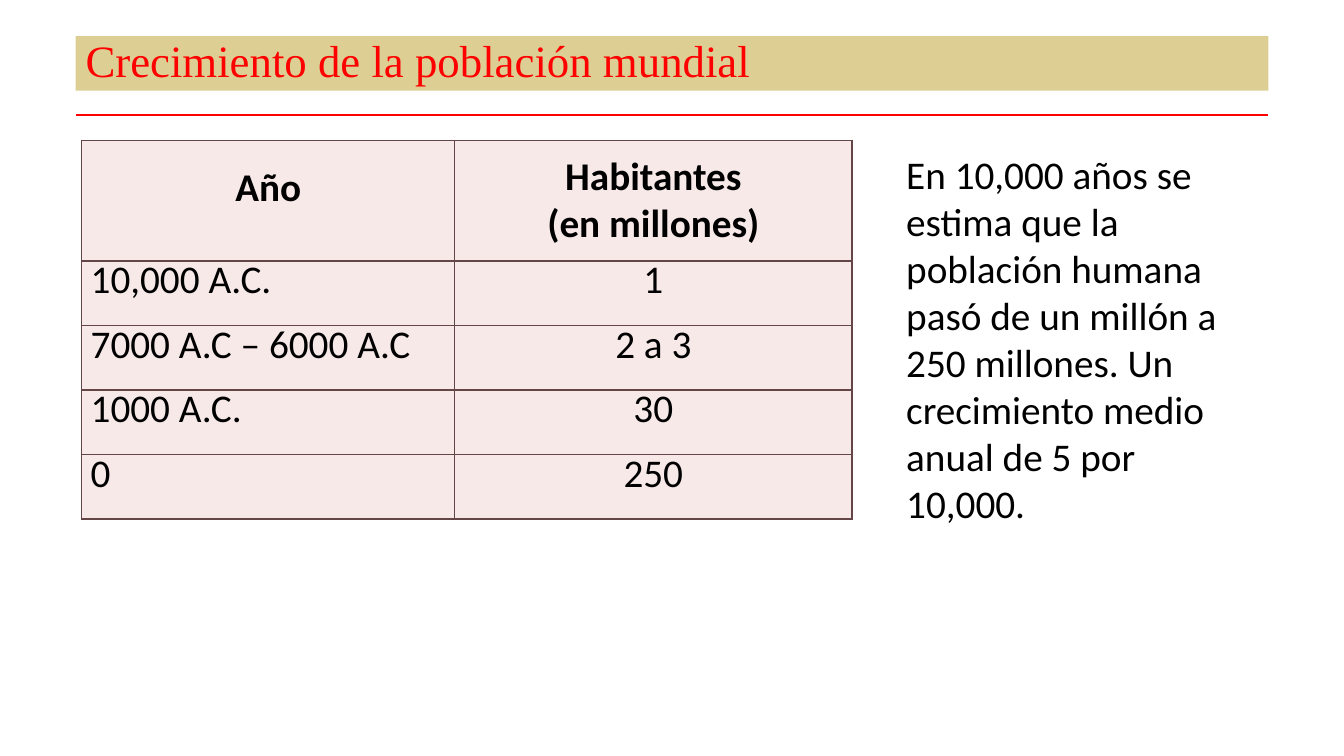
from pptx import Presentation, util as u
from pptx.dml.color import RGBColor
from pptx.enum import shapes, text
from pptx.oxml import parse_xml
from pptx.oxml.ns import nsdecls

RED, SAND, ROSE, BORDER, BLACK = "FF0000", "DDCF93", "F7E9E8", "644646", "000000"
LEFT, WIDTH = 0.75, 11.83


def style(para, color, size=28, name="Calibri", bold=False):
    """Set the font of a whole paragraph."""
    font = para.font
    font.name, font.size, font.bold = name, u.Pt(size), bold
    font.color.rgb = RGBColor.from_string(color)


def add_borders(cell):
    props = cell._tc.get_or_add_tcPr()
    for index, side in enumerate(("lnL", "lnR", "lnT", "lnB")):
        props.insert(index, parse_xml(
            f'<a:{side} {nsdecls("a")} w="12700"><a:solidFill>'
            f'<a:srgbClr val="{BORDER}"/></a:solidFill></a:{side}>'))


deck = Presentation()
deck.slide_width, deck.slide_height = u.Inches(13.33), u.Inches(7.5)
page = deck.slides.add_slide(deck.slide_layouts[6])

# Red rule under the title
rule = page.shapes.add_connector(
    shapes.MSO_CONNECTOR.STRAIGHT, u.Inches(LEFT), u.Inches(1.14),
    u.Inches(LEFT + WIDTH), u.Inches(1.14))
rule.line.color.rgb = RGBColor.from_string(RED)
rule.line.width = u.Pt(1)
rule._element.spPr.append(parse_xml(f'<a:effectLst {nsdecls("a")}/>'))

# Title band
title = page.shapes.add_textbox(
    u.Inches(LEFT), u.Inches(0.36), u.Inches(WIDTH), u.Inches(0.54))
title.fill.solid()
title.fill.fore_color.rgb = RGBColor.from_string(SAND)
frame = title.text_frame
frame.word_wrap = True
frame.vertical_anchor = text.MSO_ANCHOR.MIDDLE
frame.text = "Crecimiento de la población mundial"
frame.paragraphs[0].line_spacing = 0.9
style(frame.paragraphs[0], RED, 32, "Times New Roman")

# Population table
population = [
    ("Año", "Habitantes\n(en millones)"),
    ("10,000 A.C.", "1"),
    ("7000 A.C – 6000 A.C", "2 a 3"),
    ("1000 A.C.", "30"),
    ("0", "250"),
]
column_widths = (3.7, 3.94)
row_heights = [1.2] + [0.64] * 4
table = page.shapes.add_table(
    len(population), len(column_widths), u.Inches(0.81), u.Inches(1.39),
    u.Inches(sum(column_widths)), u.Inches(sum(row_heights))).table
for column, width in zip(table.columns, column_widths):
    column.width = u.Inches(width)
for row, height in zip(table.rows, row_heights):
    row.height = u.Inches(height)

for r, record in enumerate(population):
    for c, value in enumerate(record):
        cell = table.cell(r, c)
        is_year = r > 0 and c == 0
        cell.text = value
        cell.vertical_anchor = text.MSO_ANCHOR.MIDDLE
        cell.margin_left = u.Inches(0.09 if is_year else 0)
        cell.margin_right = cell.margin_top = cell.margin_bottom = 0
        cell.fill.solid()
        cell.fill.fore_color.rgb = RGBColor.from_string(ROSE)
        add_borders(cell)
        paras = cell.text_frame.paragraphs
        for para in paras:
            para.alignment = text.PP_ALIGN.JUSTIFY if is_year else text.PP_ALIGN.CENTER
            if len(paras) == 1:
                para.line_spacing = u.Pt(16)
            style(para, BLACK, bold=r == 0)

# Comment beside the table
comment = page.shapes.add_textbox(
    u.Inches(8.89), u.Inches(1.44), u.Inches(3.7), u.Inches(3.87))
frame = comment.text_frame
frame.word_wrap = True
frame.auto_size = text.MSO_AUTO_SIZE.SHAPE_TO_FIT_TEXT
frame.text = ("En 10,000 años se estima que la población humana pasó de un millón "
              "a 250 millones. Un crecimiento medio anual de 5 por 10,000.")
style(frame.paragraphs[0], BLACK)

deck.save("out.pptx")
